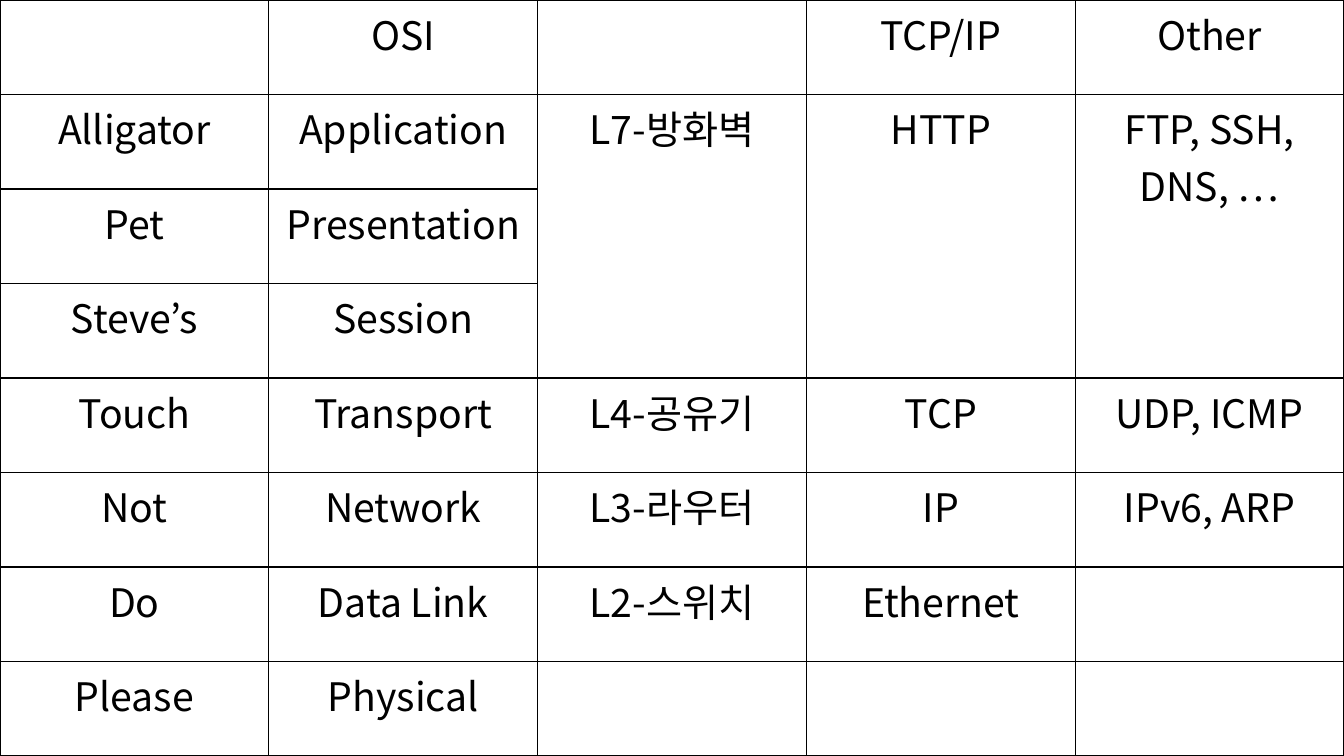
from dataclasses import dataclass

from lxml.etree import SubElement
from pptx import Presentation
from pptx.dml.color import RGBColor
from pptx.enum.text import PP_ALIGN as Align
from pptx.oxml.ns import qn
from pptx.table import Table, _Cell as Cell
from pptx.util import Emu, Pt

EMU_PER_PX = 9525
SLIDE_WIDTH, SLIDE_HEIGHT = 1280, 720
FONT = "Noto Sans CJK KR"
BLACK, WHITE = "000000", "FFFFFF"
COLUMN_COUNT = 5


@dataclass(frozen=True)
class Layer:
    mnemonic: str = ""
    osi: str = ""
    device: str = ""
    tcp_ip: str = ""
    other: str = ""

    def texts(self) -> tuple[str, ...]:
        return self.mnemonic, self.osi, self.device, self.tcp_ip, self.other


@dataclass(frozen=True)
class Merge:
    column: int
    first_row: int
    last_row: int


LAYERS = [
    Layer(osi="OSI", tcp_ip="TCP/IP", other="Other"),
    Layer("Alligator", "Application", "L7-방화벽", "HTTP", "FTP, SSH, DNS, …"),
    Layer("Pet", "Presentation"),
    Layer("Steve’s", "Session"),
    Layer("Touch", "Transport", "L4-공유기", "TCP", "UDP, ICMP"),
    Layer("Not", "Network", "L3-라우터", "IP", "IPv6, ARP"),
    Layer("Do", "Data Link", "L2-스위치", "Ethernet"),
    Layer("Please", "Physical"),
]
MERGES = [Merge(column, 1, 3) for column in (2, 3, 4)]


def px(length: int) -> Emu:
    return Emu(length * EMU_PER_PX)


def color(value: str) -> RGBColor:
    return RGBColor.from_string(value)


def add_borders(cell: Cell, *, line_color: str, width: float) -> None:
    properties = cell._tc.get_or_add_tcPr()
    for side in ("lnL", "lnR", "lnT", "lnB"):
        line = SubElement(properties, qn(f"a:{side}"), w=str(Pt(width)))
        fill = SubElement(line, qn("a:solidFill"))
        SubElement(fill, qn("a:srgbClr"), val=line_color)


def write_text(cell: Cell, text: str, *, size: int, font_color: str) -> None:
    paragraph = cell.text_frame.paragraphs[0]
    paragraph.alignment = Align.CENTER
    run = paragraph.add_run()
    run.text = text
    run.font.name = FONT
    run.font.size = Pt(size)
    run.font.bold = False
    run.font.color.rgb = color(font_color)
    SubElement(run.font._element, qn("a:ea"), typeface=FONT)


def fill_table(table: Table) -> None:
    for column in table.columns:
        column.width = px(SLIDE_WIDTH // COLUMN_COUNT)
    for row_index, layer in enumerate(LAYERS):
        table.rows[row_index].height = px(SLIDE_HEIGHT // len(LAYERS))
        for column_index, text in enumerate(layer.texts()):
            cell = table.cell(row_index, column_index)
            add_borders(cell, line_color=BLACK, width=1)
            cell.fill.solid()
            cell.fill.fore_color.rgb = color(WHITE)
            if text:
                write_text(cell, text, size=28, font_color=BLACK)
    for merge in MERGES:
        first_cell = table.cell(merge.first_row, merge.column)
        first_cell.merge(table.cell(merge.last_row, merge.column))


def main() -> None:
    presentation = Presentation()
    presentation.slide_width = px(SLIDE_WIDTH)
    presentation.slide_height = px(SLIDE_HEIGHT)
    slide = presentation.slides.add_slide(presentation.slide_layouts[6])
    table = slide.shapes.add_table(
        len(LAYERS), COLUMN_COUNT, px(0), px(0), px(SLIDE_WIDTH), px(SLIDE_HEIGHT)
    ).table
    table.first_row = False
    table.horz_banding = False
    fill_table(table)
    presentation.save("out.pptx")


if __name__ == "__main__":
    main()
